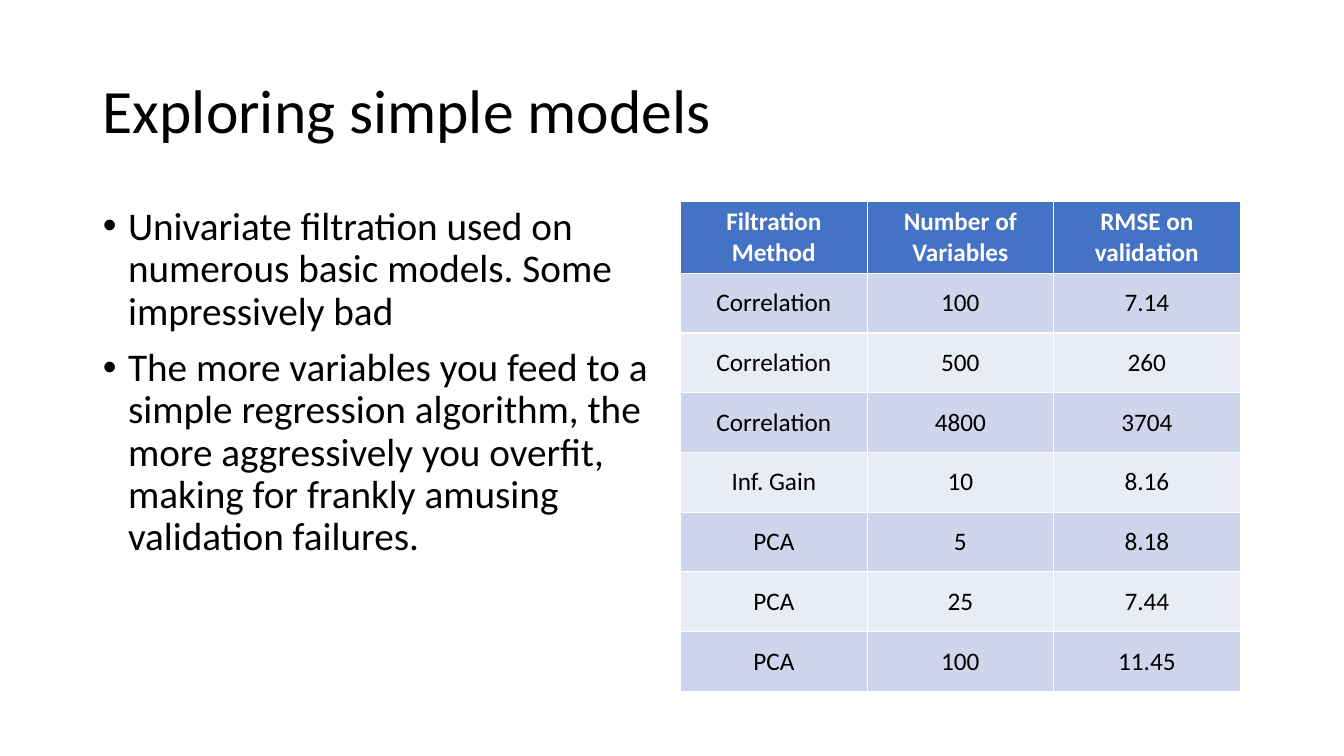
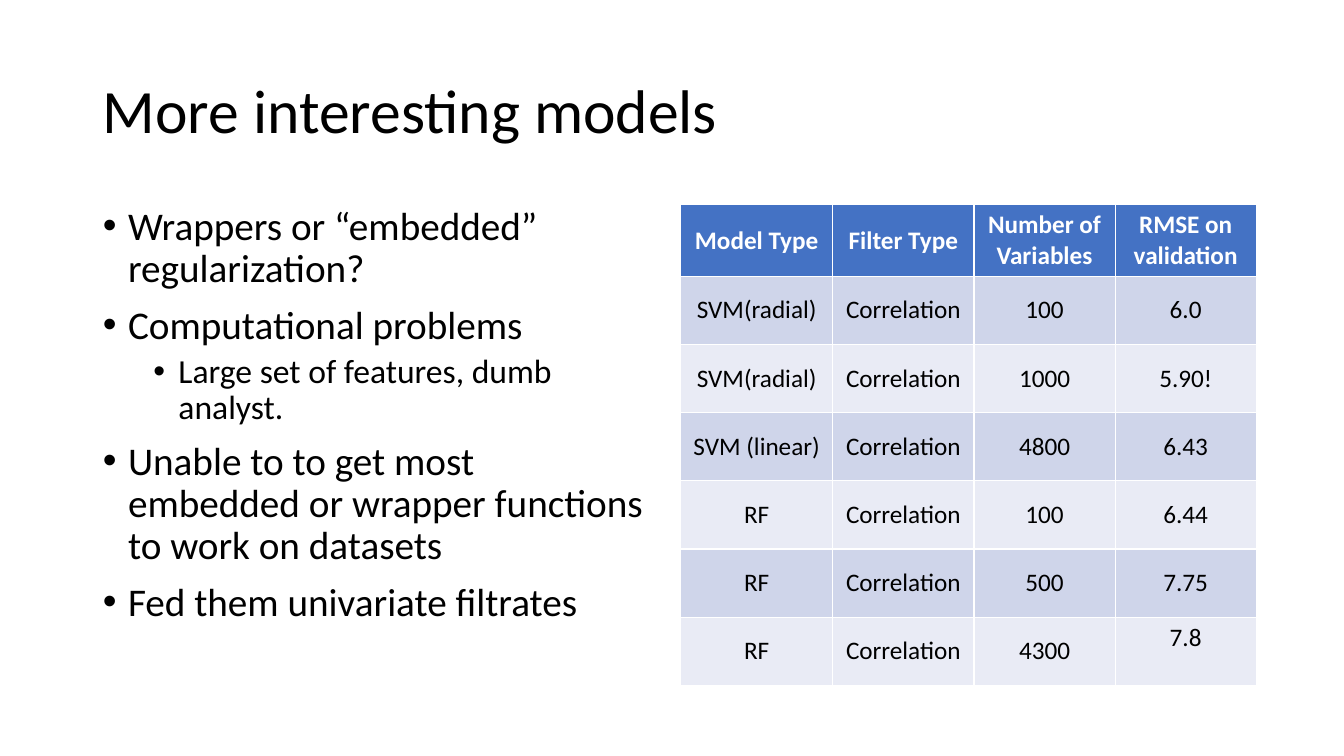
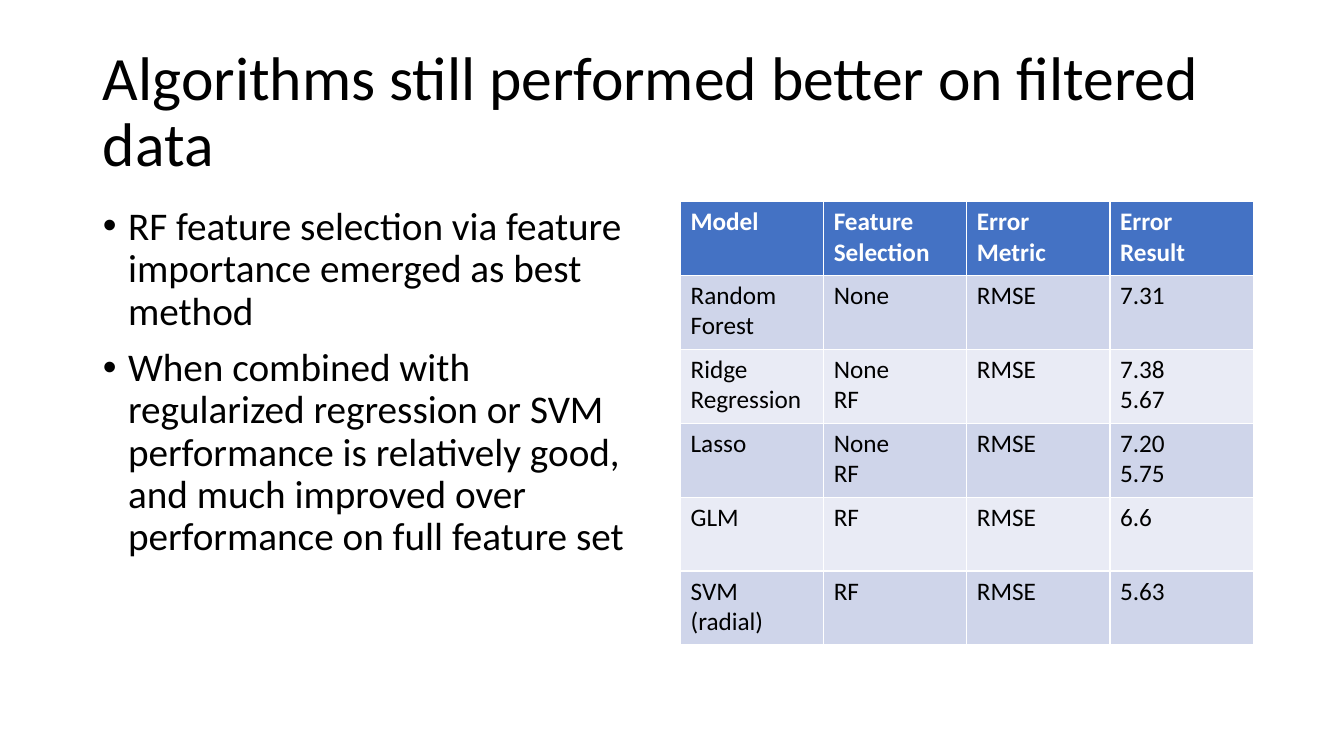
"""Three slides on model results, each with a bullet list and a table."""
from dataclasses import dataclass
from typing import Optional

from lxml import etree
from pptx import Presentation
from pptx import util as u
from pptx.dml import color
from pptx.enum import text
from pptx.oxml import ns


@dataclass(frozen=True)
class Theme:
    """Colours, font and type sizes of the deck."""
    font: str = "Calibri"
    ink: str = "000000"
    paper: str = "FFFFFF"
    header: str = "4472C4"
    bands: tuple[str, str] = ("CFD5EA", "E9EBF5")
    title_size: int = 44
    table_size: int = 18
    bullet_sizes: tuple[int, int] = (28, 24)
    bullet_gaps: tuple[int, int] = (10, 5)
    bullet_indents: tuple[float, float] = (0.25, 0.75)
    hanging: float = 0.25
    line_spacing: float = 0.9


@dataclass(frozen=True)
class Box:
    """A rectangle in inches."""
    left: float
    top: float
    width: float
    height: float


@dataclass(frozen=True)
class Bullet:
    """One list item with its outline level."""
    words: str
    level: int = 0


@dataclass(frozen=True)
class Grid:
    """A table; a line break in a cell starts a new paragraph."""
    top: float
    height: float
    header_height: float
    widths: tuple[float, ...]
    rows: tuple[tuple[str, ...], ...]
    centred: bool = True
    raised_cell: Optional[tuple[int, int]] = None


@dataclass(frozen=True)
class Page:
    """The content of one slide."""
    title: str
    bullets: tuple[Bullet, ...]
    grid: Grid


THEME = Theme()
TITLE_BOX = Box(0.92, 0.4, 11.5, 1.45)
BODY_BOX = Box(0.92, 2, 5.67, 4.76)
TABLE_LEFT = 6.75
RAISED_MARGIN = 0.32

PAGES = (
    Page(
        "Exploring simple models",
        (
            Bullet("Univariate filtration used on numerous basic models. "
                   "Some impressively bad"),
            Bullet("The more variables you feed to a simple regression algorithm, "
                   "the more aggressively you overfit, making for frankly amusing "
                   "validation failures."),
        ),
        Grid(2, 4.86, 0.71, (1.85,) * 3, (
            ("Filtration Method", "Number of Variables", "RMSE on validation"),
            ("Correlation", "100", "7.14"),
            ("Correlation", "500", "260"),
            ("Correlation", "4800", "3704"),
            ("Inf. Gain", "10", "8.16"),
            ("PCA", "5", "8.18"),
            ("PCA", "25", "7.44"),
            ("PCA", "100", "11.45"),
        )),
    ),
    Page(
        "More interesting models",
        (
            Bullet("Wrappers or “embedded” regularization?"),
            Bullet("Computational problems"),
            Bullet("Large set of features, dumb analyst.", 1),
            Bullet("Unable to to get most embedded or wrapper functions "
                   "to work on datasets"),
            Bullet("Fed them univariate filtrates"),
        ),
        Grid(2.03, 4.77, 0.71, (1.51, 1.4, 1.4, 1.4), (
            ("Model Type", "Filter Type", "Number of Variables", "RMSE on validation"),
            ("SVM(radial)", "Correlation", "100", "6.0"),
            ("SVM(radial)", "Correlation", "1000", "5.90!"),
            ("SVM (linear)", "Correlation", "4800", "6.43"),
            ("RF", "Correlation", "100", "6.44"),
            ("RF", "Correlation", "500", "7.75"),
            ("RF", "Correlation", "4300", "7.8"),
        ), raised_cell=(6, 3)),
    ),
    Page(
        "Algorithms still performed better on filtered data",
        (
            Bullet("RF feature selection via feature importance emerged as best method"),
            Bullet("When combined with regularized regression or SVM performance is "
                   "relatively good, and much improved over performance on full "
                   "feature set"),
        ),
        Grid(2, 4.4, 0.73, (1.42,) * 4, (
            ("Model", "Feature Selection", "Error Metric", "Error Result"),
            ("Random\nForest", "None", "RMSE", "7.31"),
            ("Ridge Regression", "None\nRF", "RMSE", "7.38\n5.67"),
            ("Lasso", "None\nRF", "RMSE", "7.20\n5.75"),
            ("GLM", "RF", "RMSE", "6.6"),
            ("SVM\n(radial)", "RF", "RMSE", "5.63"),
        ), centred=False),
    ),
)


def add_span(para, words: str, size: int, ink: str = THEME.ink,
             bold: bool = False) -> None:
    """Add one formatted run to a paragraph."""
    span = para.add_run()
    span.text = words
    span.font.name = THEME.font
    span.font.size = u.Pt(size)
    span.font.bold = bold
    span.font.color.rgb = color.RGBColor.from_string(ink)


def next_para(frame, index: int):
    """Return the first paragraph of a frame, or add a further one."""
    return frame.add_paragraph() if index else frame.paragraphs[0]


def place(holder, box: Box, anchor: text.MSO_ANCHOR):
    """Move a placeholder and return its text frame."""
    holder.left, holder.top = u.Inches(box.left), u.Inches(box.top)
    holder.width, holder.height = u.Inches(box.width), u.Inches(box.height)
    frame = holder.text_frame
    frame.word_wrap = True
    frame.auto_size = text.MSO_AUTO_SIZE.NONE
    frame.vertical_anchor = anchor
    return frame


def fill_title(holder, words: str) -> None:
    """Write the slide title."""
    para = place(holder, TITLE_BOX, text.MSO_ANCHOR.MIDDLE).paragraphs[0]
    para.alignment = text.PP_ALIGN.LEFT
    para.line_spacing = THEME.line_spacing
    add_span(para, words, THEME.title_size)


def fill_bullets(holder, bullets: tuple[Bullet, ...]) -> None:
    """Write the bullet list."""
    frame = place(holder, BODY_BOX, text.MSO_ANCHOR.TOP)
    for index, bullet in enumerate(bullets):
        para = next_para(frame, index)
        para.level = bullet.level
        para.line_spacing = THEME.line_spacing
        para.space_before = u.Pt(THEME.bullet_gaps[bullet.level])
        props = para._p.get_or_add_pPr()
        props.set("marL", str(u.Inches(THEME.bullet_indents[bullet.level])))
        props.set("indent", str(-u.Inches(THEME.hanging)))
        etree.SubElement(props, ns.qn("a:buFont")).set("typeface", "Arial")
        etree.SubElement(props, ns.qn("a:buChar")).set("char", "•")
        add_span(para, bullet.words, THEME.bullet_sizes[bullet.level])


def fill_cell(cell, words: str, row: int, centred: bool) -> None:
    """Colour a table cell and write its paragraphs."""
    is_header = row == 0
    fill = THEME.header if is_header else THEME.bands[(row - 1) % 2]
    cell.fill.solid()
    cell.fill.fore_color.rgb = color.RGBColor.from_string(fill)
    cell.vertical_anchor = text.MSO_ANCHOR.MIDDLE if centred else text.MSO_ANCHOR.TOP
    for index, line in enumerate(words.split("\n")):
        para = next_para(cell.text_frame, index)
        para.alignment = text.PP_ALIGN.CENTER if centred else text.PP_ALIGN.LEFT
        add_span(para, line, THEME.table_size,
                 THEME.paper if is_header else THEME.ink, is_header)


def add_grid(slide, grid: Grid) -> None:
    """Add the table; body rows share the height below the header."""
    table = slide.shapes.add_table(
        len(grid.rows), len(grid.widths), u.Inches(TABLE_LEFT), u.Inches(grid.top),
        u.Inches(sum(grid.widths)), u.Inches(grid.height)).table
    for column, width in zip(table.columns, grid.widths):
        column.width = u.Inches(width)
    body_height = (grid.height - grid.header_height) / (len(grid.rows) - 1)
    for row, entries in enumerate(grid.rows):
        table.rows[row].height = u.Inches(body_height if row else grid.header_height)
        for column, words in enumerate(entries):
            fill_cell(table.cell(row, column), words, row, grid.centred)
    if grid.raised_cell:
        table.cell(*grid.raised_cell).margin_bottom = u.Inches(RAISED_MARGIN)


def build() -> None:
    """Build and save the deck."""
    deck = Presentation()
    deck.slide_width, deck.slide_height = u.Inches(13.33), u.Inches(7.5)
    for page in PAGES:
        slide = deck.slides.add_slide(deck.slide_layouts[1])
        fill_title(slide.shapes.title, page.title)
        fill_bullets(slide.placeholders[1], page.bullets)
        add_grid(slide, page.grid)
    deck.save("out.pptx")


build()
